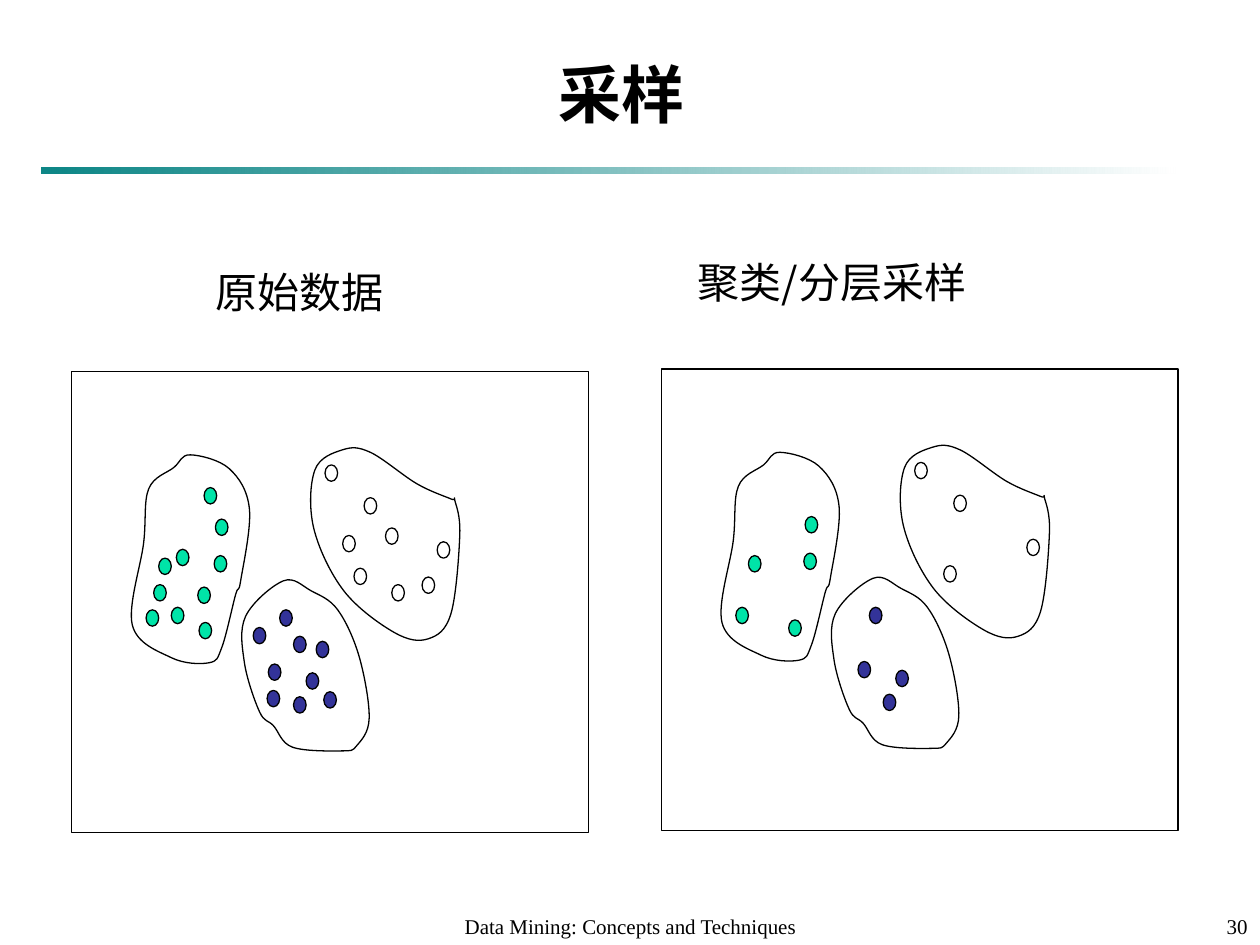
from lxml.etree import SubElement
from pptx import Presentation
from pptx.dml.color import RGBColor
from pptx.enum.shapes import MSO_SHAPE
from pptx.enum.text import MSO_ANCHOR, MSO_AUTO_SIZE, PP_ALIGN
from pptx.oxml.ns import qn
from pptx.util import Cm, Pt

COLORS = {
    "black": "000000",
    "white": "FFFFFF",
    "teal": "008080",
    "green": "00E4A8",
    "indigo": "333399",
}
SERIF, CJK = "Times New Roman", "Noto Sans CJK SC"
GRID = 2.54  # centimetres per layout unit
PANEL_SHIFT = (4.68, -0.02)  # from the full data to the sample
DOT_SIZE = (0.1, 0.13)

# A smooth closed curve passes through the outline points.
# The first "kept" dots of each cluster belong to the sample.
CLUSTERS = [
    {
        "color": "white",
        "kept": 4,
        "dots": [(2.89, 3.95), (2.81, 4.51), (3.47, 4.3), (2.58, 3.69),
                 (3.06, 4.19), (2.72, 4.25), (3.35, 4.58), (3.11, 4.64)],
        "outline": [(3.61, 3.97), (3.65, 4.24), (3.58, 4.87), (3.4, 5.07), (3.13, 5.02),
                    (2.73, 4.69), (2.49, 4.19), (2.5, 3.73), (2.72, 3.57), (2.94, 3.59),
                    (3.31, 3.84), (3.58, 3.96)],
    },
    {
        "color": "indigo",
        "kept": 4,
        "dots": [(2.33, 5.53), (2.43, 5.34), (2.13, 5.27), (2.22, 4.84), (2.01, 4.98),
                 (2.51, 5.09), (2.12, 5.48), (2.33, 5.05), (2.57, 5.49)],
        "outline": [(2.17, 5.76), (2.06, 5.65), (1.94, 5.26), (1.95, 4.89), (2.25, 4.61),
                    (2.47, 4.69), (2.68, 4.84), (2.85, 5.21), (2.93, 5.7), (2.83, 5.92),
                    (2.71, 5.96), (2.32, 5.93)],
    },
    {
        "color": "green",
        "kept": 5,
        "dots": [(1.16, 4.84), (1.26, 4.43), (1.58, 4.94), (1.7, 4.41), (1.71, 4.12),
                 (1.36, 4.82), (1.22, 4.64), (1.57, 4.66), (1.4, 4.36), (1.62, 3.87)],
        "outline": [(1.87, 4.72), (1.76, 5.14), (1.66, 5.26), (1.36, 5.22), (1.05, 4.96),
                    (1.14, 4.31), (1.18, 3.88), (1.38, 3.71), (1.51, 3.61), (1.82, 3.72),
                    (1.98, 4.04), (1.91, 4.61)],
    },
]


def lengths(*values):
    return [Cm(value * GRID) for value in values]


def rgb(name):
    return RGBColor.from_string(COLORS[name])


def write_text(shape, text, size=12, font=SERIF, bold=False, align=PP_ALIGN.LEFT,
               anchor=MSO_ANCHOR.TOP, wrap=True, auto_size=MSO_AUTO_SIZE.NONE):
    frame = shape.text_frame
    frame.word_wrap, frame.auto_size = wrap, auto_size
    frame.vertical_anchor = anchor
    paragraph = frame.paragraphs[0]
    paragraph.alignment = align
    run = paragraph.add_run()
    run.text = text
    run.font.name, run.font.size, run.font.bold = font, Pt(size), bold
    run.font.color.rgb = rgb("black")
    SubElement(run.font._element, qn("a:ea"), typeface=CJK)


def add_text(slide, box, text, **text_format):
    write_text(slide.shapes.add_textbox(*lengths(*box)), text, **text_format)


def style_shape(shape, fill=None):
    shape.shadow.inherit = False
    if fill:
        shape.fill.solid()
        shape.fill.fore_color.rgb = rgb(fill)
    else:
        shape.fill.background()
    shape.line.color.rgb = rgb("black")
    shape.line.width = Pt(0.75)


def smooth_controls(points):
    """Return the Bezier points of a closed curve through all points."""
    controls = []
    for index, start in enumerate(points):
        before = points[index - 1]
        end = points[(index + 1) % len(points)]
        after = points[(index + 2) % len(points)]
        controls += [
            tuple(s + (e - b) / 6 for b, s, e in zip(before, start, end)),
            tuple(e - (a - s) / 6 for s, e, a in zip(start, end, after)),
            end,
        ]
    return controls


def add_outline(shapes, points):
    controls = [lengths(*point) for point in smooth_controls(points)]
    builder = shapes.build_freeform(*lengths(*points[0]))
    builder.add_line_segments(controls, close=True)
    shape = builder.convert_to_shape()
    # Join every three line segments into one Bezier curve
    segments = list(shape._element.iter(qn("a:lnTo")))
    for first in range(0, len(controls), 3):
        curve = segments[first].makeelement(qn("a:cubicBezTo"), {})
        segments[first].addprevious(curve)
        for segment in segments[first:first + 3]:
            curve.append(segment[0])
            segment.getparent().remove(segment)
    style_shape(shape)


def add_panel(slide, shift, sampled):
    def moved(point):
        return point[0] + shift[0], point[1] + shift[1]

    style_shape(slide.shapes.add_shape(
        MSO_SHAPE.RECTANGLE, *lengths(*moved((0.57, 2.95)), 4.1, 3.66)))
    group = slide.shapes.add_group_shape()
    for cluster in CLUSTERS:
        dots = cluster["dots"][:cluster["kept"]] if sampled else cluster["dots"]
        for dot in dots:
            style_shape(group.shapes.add_shape(
                MSO_SHAPE.FLOWCHART_CONNECTOR, *lengths(*moved(dot), *DOT_SIZE)),
                cluster["color"])
        add_outline(group.shapes, [moved(point) for point in cluster["outline"]])


def add_title_rule(slide):
    bar = slide.shapes.add_shape(MSO_SHAPE.RECTANGLE, *lengths(0.33, 1.33, 9, 0.05))
    bar.shadow.inherit = False
    bar.line.fill.background()
    bar.fill.gradient()
    bar.fill.gradient_angle = 0
    for stop, position, name in zip(bar.fill.gradient_stops, (0, 1), ("teal", "white")):
        stop.position = position
        stop.color.rgb = rgb(name)
    start_color = next(bar._element.spPr.iter(qn("a:srgbClr")))
    SubElement(start_color, qn("a:alpha"), val="95000")


def main():
    presentation = Presentation()
    presentation.slide_width, presentation.slide_height = lengths(10, 7.5)
    slide = presentation.slides.add_slide(presentation.slide_layouts[5])

    # Title and rule
    add_title_rule(slide)
    title = slide.shapes.title
    title.left, title.top, title.width, title.height = lengths(0.67, 0.42, 8.52, 0.67)
    write_text(title, "采样", size=36, bold=True, align=PP_ALIGN.CENTER,
               anchor=MSO_ANCHOR.BOTTOM)

    # Full data on the left, sample on the right
    add_panel(slide, (0, 0), sampled=False)
    add_panel(slide, PANEL_SHIFT, sampled=True)
    label = {"size": 24, "wrap": False, "auto_size": MSO_AUTO_SIZE.SHAPE_TO_FIT_TEXT}
    add_text(slide, (1.61, 2.07, 1.61, 0.5), "原始数据", **label)
    add_text(slide, (5.44, 1.99, 2.52, 0.5), "聚类/分层采样", font=CJK, **label)

    # Footer
    add_text(slide, (3.42, 7.08, 3.17, 0.42), "Data Mining: Concepts and Techniques",
             align=PP_ALIGN.CENTER, anchor=MSO_ANCHOR.BOTTOM)
    add_text(slide, (7.92, 7.08, 2.08, 0.42), "30",
             align=PP_ALIGN.RIGHT, anchor=MSO_ANCHOR.BOTTOM)

    presentation.save("out.pptx")


if __name__ == "__main__":
    main()
